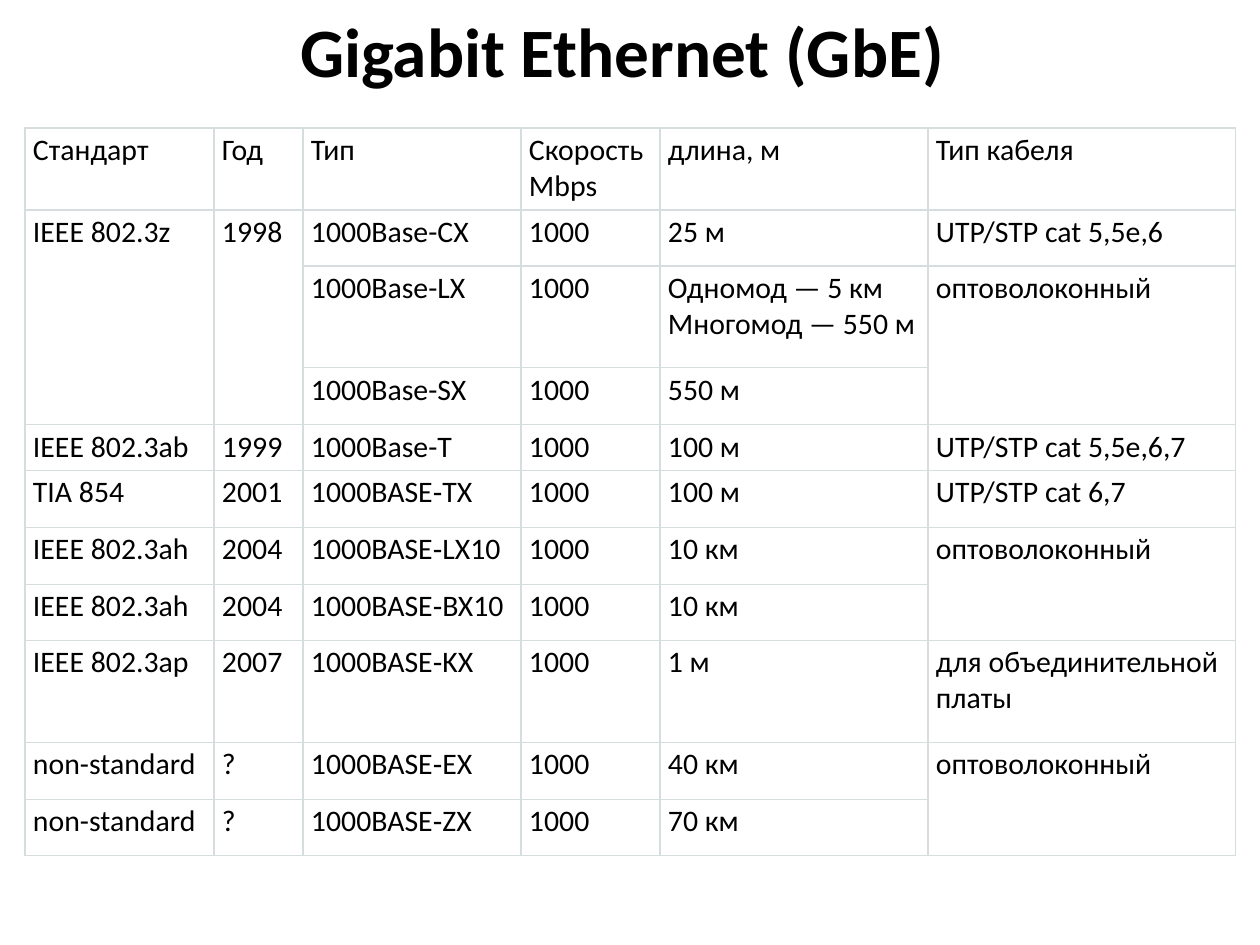
from lxml.etree import SubElement, fromstring
from pptx import Presentation
from pptx.dml.color import RGBColor
from pptx.enum.text import MSO_ANCHOR, MSO_AUTO_SIZE, PP_ALIGN
from pptx.oxml.ns import qn
from pptx.util import Emu, Pt

PX_PER_INCH = 126
FONT = "Calibri"
BLACK = RGBColor(0x00, 0x00, 0x00)
WHITE = RGBColor(0xFF, 0xFF, 0xFF)
BORDER = RGBColor(0xD5, 0xDD, 0xDF)

COLUMN_WIDTHS = [189, 89, 218, 139, 268, 308]
ROW_HEIGHTS = [82, 56, 102, 57, 45, 57, 57, 56, 102, 57, 56]

# None continues the cell above
STANDARDS = [
    ["Стандарт", "Год", "Тип", "Скорость Мbps", "длина, м", "Тип кабеля"],
    ["IEEE 802.3z", "1998", "1000Base-CX", "1000", "25 м", "UTP/STP cat 5,5e,6"],
    [None, None, "1000Base-LX", "1000", "Одномод — 5 км\nМногомод — 550 м", "оптоволоконный"],
    [None, None, "1000Base-SX", "1000", "550 м", None],
    ["IEEE 802.3ab", "1999", "1000Base-T", "1000", "100 м", "UTP/STP cat 5,5е,6,7"],
    ["TIA 854", "2001", "1000BASE‑TX", "1000", "100 м", "UTP/STP cat 6,7"],
    ["IEEE 802.3ah", "2004", "1000BASE‑LX10", "1000", "10 км", "оптоволоконный"],
    ["IEEE 802.3ah", "2004", "1000BASE‑BX10", "1000", "10 км", None],
    ["IEEE 802.3ap", "2007", "1000BASE‑KX", "1000", "1 м", "для объединительной платы"],
    ["non-standard", "?", "1000BASE‑EX", "1000", "40 км", "оптоволоконный"],
    ["non-standard", "?", "1000BASE‑ZX", "1000", "70 км", None],
]


def px(length):
    return Emu(round(length * 914400 / PX_PER_INCH))


def write_text(text_frame, text, size, bold=False, align=PP_ALIGN.LEFT):
    paragraph = text_frame.paragraphs[0]
    paragraph.text = text
    paragraph.alignment = align
    for run in paragraph.runs:
        run.font.name = FONT
        run.font.size = Pt(size)
        run.font.bold = bold
        run.font.color.rgb = BLACK


def add_title(slide, text):
    title = slide.shapes.title
    title.left, title.top, title.width, title.height = px(63), px(20), px(1134), px(59)
    title.text_frame.auto_size = MSO_AUTO_SIZE.NONE
    title.text_frame.vertical_anchor = MSO_ANCHOR.MIDDLE
    write_text(title.text_frame, text, size=39.6, bold=True, align=PP_ALIGN.CENTER)


def set_borders(cell, color, width):
    properties = cell._tc.get_or_add_tcPr()
    for position, side in enumerate(("lnL", "lnR", "lnT", "lnB")):
        line = properties.makeelement(qn(f"a:{side}"), {"w": str(Pt(width))})
        fill = SubElement(line, qn("a:solidFill"))
        SubElement(fill, qn("a:srgbClr"), {"val": str(color)})
        properties.insert(position, line)


def format_cell(cell):
    cell.margin_left = cell.margin_right = px(8)
    cell.margin_top, cell.margin_bottom = px(4), px(5)
    cell.vertical_anchor = MSO_ANCHOR.TOP
    cell.fill.solid()
    cell.fill.fore_color.rgb = WHITE
    set_borders(cell, BORDER, 0.75)


def merge_down(table, rows):
    for column in range(len(rows[0])):
        start = 0
        for row in range(1, len(rows) + 1):
            if row == len(rows) or rows[row][column] is not None:
                if row - start > 1:
                    table.cell(start, column).merge(table.cell(row - 1, column))
                start = row


def add_standards_table(slide, rows):
    frame = slide.shapes.add_table(
        len(rows), len(rows[0]), px(25), px(128), px(sum(COLUMN_WIDTHS)), px(sum(ROW_HEIGHTS))
    )
    table = frame.table
    table.first_row = table.horz_banding = False
    for column, width in zip(table.columns, COLUMN_WIDTHS):
        column.width = px(width)
    for row, height in zip(table.rows, ROW_HEIGHTS):
        row.height = px(height)
    for row_index, row in enumerate(rows):
        for column_index, text in enumerate(row):
            cell = table.cell(row_index, column_index)
            format_cell(cell)
            if text is not None:
                write_text(cell.text_frame, text, size=17)
    merge_down(table, rows)


def main():
    presentation = Presentation()
    presentation.slide_width, presentation.slide_height = px(1260), px(945)
    slide = presentation.slides.add_slide(presentation.slide_layouts[5])
    add_title(slide, "Gigabit Ethernet (GbE) ")
    add_standards_table(slide, STANDARDS)
    presentation.save("out.pptx")


if __name__ == "__main__":
    main()
